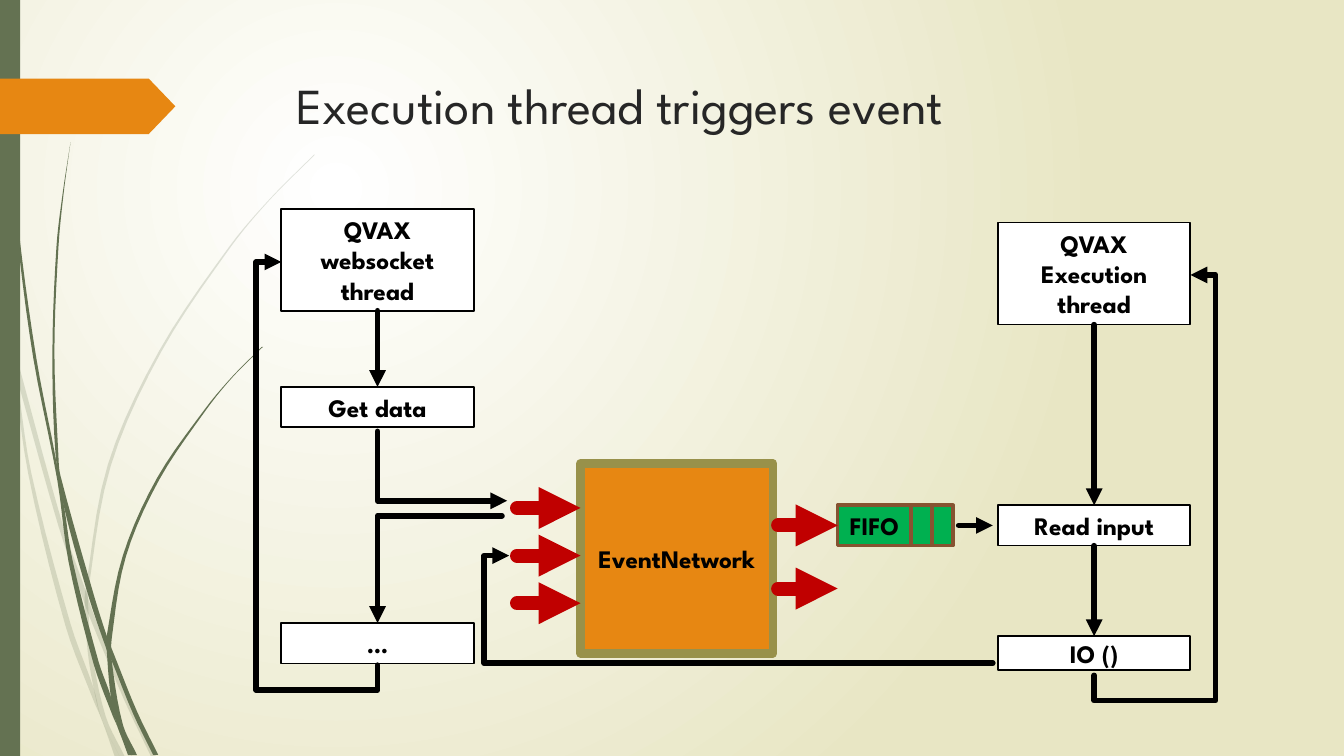
from lxml import etree
from pptx import Presentation
from pptx.dml import color
from pptx.enum import shapes, text
from pptx.oxml import ns
from pptx.util import Cm, Pt

FONT = "League Spartan"
BLACK, WHITE, ORANGE, RED = "000000", "FFFFFF", "E78712", "C00000"
GREEN, BROWN, OLIVE, MOSS = "00B050", "865331", "98914A", "647252"
BOX_W, ROW_H, HEAD_H = 4.85, 1.02, 2.57
LEFT_X, RIGHT_X = 7.09, 25.15
LEFT_MID, RIGHT_MID = LEFT_X + BOX_W / 2, RIGHT_X + BOX_W / 2
NET_X, FIFO_X, FIFO_Y = 14.63, 21.11, 12.73

# Grass blades: the two edges of each, from tip to root, in hundredths of an inch
PALE_BLADES = [
    ([(0, 282), (9, 322), (17, 376), (31, 469), (70, 619), (93, 683), (101, 714), (119, 751)],
     [(0, 299), (11, 350), (28, 470), (65, 621), (92, 693), (101, 714), (114, 751)]),
    ([(14, 345), (62, 520), (85, 586), (92, 607), (127, 692), (155, 751)],
     [(17, 376), (58, 522), (84, 599), (88, 610), (123, 694), (150, 751)]),
    ([(312, 153), (268, 197), (228, 244), (158, 348), (107, 461), (85, 584), (84, 599),
      (87, 646), (93, 683), (101, 714), (119, 751)],
     [(312, 154), (268, 198), (229, 245), (160, 349), (110, 462), (88, 584), (88, 610),
      (91, 646), (105, 711), (124, 751)]),
]
DARK_BLADES = [
    ([(4, 0), (5, 48), (8, 109), (19, 232), (36, 355), (55, 453), (64, 505), (72, 556),
      (98, 657), (110, 691), (117, 722), (131, 749)],
     [(3, 0), (4, 48), (7, 110), (17, 233), (33, 355), (57, 477), (68, 557), (93, 659),
      (111, 708), (117, 722), (127, 749)]),
    ([(70, 141), (62, 193), (56, 245), (52, 349), (55, 449), (64, 505), (88, 592),
      (106, 645), (111, 656), (132, 708), (152, 749)],
     [(70, 141), (63, 193), (58, 245), (54, 349), (58, 453), (60, 472), (93, 590),
      (106, 631), (113, 649), (136, 706), (157, 749)]),
    ([(260, 344), (231, 373), (204, 405), (156, 474), (122, 551), (106, 631), (106, 645),
      (110, 691), (117, 722), (130, 749)],
     [(261, 344), (231, 374), (205, 406), (158, 476), (125, 552), (111, 633), (111, 656),
      (122, 719), (136, 749)]),
]


def rgb(value):
    return color.RGBColor.from_string(value)


def add_xml(parent, tag, **attrs):
    return etree.SubElement(parent, ns.qn(tag), attrs)


def set_background(s):
    """Radial gradient centred a quarter of the way in from the top left."""
    fill = s.background.fill
    fill.gradient()
    for stop, value in zip(fill.gradient_stops, (WHITE, "E8E6C4")):
        stop.color.rgb = rgb(value)
    grad = s.element.find(".//" + ns.qn("a:gradFill"))
    grad.remove(grad.find(ns.qn("a:lin")))
    circle = add_xml(grad, "a:path", path="circle")
    add_xml(circle, "a:fillToRect", l="50000", t="50000", r="100000", b="100000")


def paint(sp, fill, line=None, width=0):
    sp.shadow.inherit = False
    sp.fill.solid()
    sp.fill.fore_color.rgb = rgb(fill)
    if line:
        sp.line.color.rgb = rgb(line)
        sp.line.width = Pt(width)
    else:
        sp.line.fill.background()


def smooth_edge(points):
    """Cubic through the points, with x as a function of y."""
    last = len(points) - 1
    slopes = []
    for i in range(last + 1):
        (xa, ya), (xb, yb) = points[max(i - 1, 0)], points[min(i + 1, last)]
        slopes.append((xb - xa) / (yb - ya))
    curve = [points[0]]
    for (xa, ya), (xb, yb), ma, mb in zip(points, points[1:], slopes, slopes[1:]):
        h = yb - ya
        for t in (0.2, 0.4, 0.6, 0.8, 1):
            x = ((1 + 2 * t) * (1 - t) ** 2 * xa + t * (1 - t) ** 2 * h * ma
                 + t * t * (3 - 2 * t) * xb + t * t * (t - 1) * h * mb)
            curve.append((x, ya + t * h))
    return curve


def add_blade(s, edges, alpha=None):
    front, back = map(smooth_edge, edges)
    unit = Cm(0.0254)
    outline = [(x * unit, y * unit) for x, y in front + back[::-1]]
    builder = s.shapes.build_freeform(*outline[0])
    builder.add_line_segments(outline[1:])
    sp = builder.convert_to_shape()
    paint(sp, MOSS)
    if alpha:
        add_xml(sp.element.find(".//" + ns.qn("a:srgbClr")), "a:alpha", val=str(alpha * 1000))


def add_box(s, x, y, w, h, lines=(), fill=WHITE, line=BLACK, width=1.25,
            kind=shapes.MSO_SHAPE.RECTANGLE):
    sp = s.shapes.add_shape(kind, Cm(x), Cm(y), Cm(w), Cm(h))
    paint(sp, fill, line, width)
    tf = sp.text_frame
    tf.word_wrap = True
    tf.vertical_anchor = text.MSO_ANCHOR.MIDDLE
    for i, words in enumerate(lines):
        p = tf.add_paragraph() if i else tf.paragraphs[0]
        p.text = words
        p.alignment = text.PP_ALIGN.CENTER
        p.font.name, p.font.size, p.font.bold = FONT, Pt(18), True
        p.font.color.rgb = rgb(BLACK)
    return sp


def style_arrow(cxn, value, width):
    cxn.line.color.rgb = rgb(value)
    cxn.line.width = Pt(width)
    ln = cxn.line._get_or_add_ln()
    ln.set("cap", "rnd")
    add_xml(ln, "a:round")
    add_xml(ln, "a:tailEnd", type="triangle")
    add_xml(ln.getparent(), "a:effectLst")


def add_arrow(s, begin, end, value=BLACK, width=4):
    cxn = s.shapes.add_connector(shapes.MSO_CONNECTOR.STRAIGHT, *map(Cm, begin + end))
    style_arrow(cxn, value, width)
    return cxn


def join_down(s, upper, lower):
    cxn = add_arrow(s, (0, 0), (0, 0))
    cxn.begin_connect(upper, 2)
    cxn.end_connect(lower, 0)


def add_elbow(s, preset, begin, end, turn, flips=(), adjust=()):
    """Bent arrow; a quarter turn swaps the sides of its frame."""
    w, h = abs(end[0] - begin[0]), abs(end[1] - begin[1])
    if turn % 180:
        w, h = h, w
    x, y = (begin[0] + end[0] - w) / 2, (begin[1] + end[1] - h) / 2
    cxn = s.shapes.add_connector(shapes.MSO_CONNECTOR.ELBOW, Cm(x), Cm(y), Cm(x + w), Cm(y + h))
    xfrm = cxn.element.find(".//" + ns.qn("a:xfrm"))
    xfrm.set("rot", str(turn * 60000))
    for flip in flips:
        xfrm.set(flip, "1")
    geom = cxn.element.find(".//" + ns.qn("a:prstGeom"))
    geom.set("prst", preset)
    for i, value in enumerate(adjust, 1):
        add_xml(geom.find(ns.qn("a:avLst")), "a:gd", name=f"adj{i}", fmla=f"val {value}")
    style_arrow(cxn, BLACK, 4)


def set_title(s, words):
    sp = s.shapes.title
    sp.left, sp.top, sp.width, sp.height = Cm(7.21), Cm(1.73), Cm(24.77), Cm(3.56)
    tf = sp.text_frame
    tf.auto_size = text.MSO_AUTO_SIZE.NONE
    tf.vertical_anchor = text.MSO_ANCHOR.TOP
    p = tf.paragraphs[0]
    p.text = words
    p.alignment = text.PP_ALIGN.LEFT
    p.font.name, p.font.size = FONT, Pt(36)
    p.font.color.rgb = rgb("262626")


def main():
    prs = Presentation()
    prs.slide_width, prs.slide_height = Cm(33.87), Cm(19.05)
    s = prs.slides.add_slide(prs.slide_layouts[5])
    set_background(s)
    for edges in PALE_BLADES:
        add_blade(s, edges, alpha=20)
    for edges in DARK_BLADES:
        add_blade(s, edges)
    add_box(s, 0, 0, 0.51, 19.05, fill=MOSS, line=None)
    tag = add_box(s, 0, 1.98, 4.42, 1.4, fill=ORANGE, line=None, kind=shapes.MSO_SHAPE.PENTAGON)
    tag.adjustments[0] = 0.48
    set_title(s, "Execution thread triggers event")

    add_box(s, NET_X, 11.68, BOX_W, 4.78, ["EventNetwork"], ORANGE, OLIVE, 6.25)
    fifo = add_box(s, FIFO_X, FIFO_Y, 1.85, ROW_H, ["FIFO"], GREEN, BROWN, 2.5)
    for i in range(2):
        add_box(s, FIFO_X + 1.85 + i * 0.53, FIFO_Y, 0.53, ROW_H, (), GREEN, BROWN, 2.5)
    for i in range(3):
        y = 12.8 + i * 1.2
        add_arrow(s, (13.03, y), (NET_X, y), RED, 10)
    outputs = [add_arrow(s, (19.61, y), (FIFO_X, y), RED, 10) for y in (13.24, 14.83)]
    outputs[0].end_connect(fifo, 1)

    socket = add_box(s, LEFT_X, 5.26, BOX_W, HEAD_H, ["QVAX websocket", "thread"])
    get_data = add_box(s, LEFT_X, 9.75, BOX_W, ROW_H, ["Get data"])
    add_box(s, LEFT_X, 15.7, BOX_W, ROW_H, ["…"])
    execution = add_box(s, RIGHT_X, 5.61, BOX_W, HEAD_H, ["QVAX Execution", "thread"])
    read_input = add_box(s, RIGHT_X, FIFO_Y, BOX_W, ROW_H, ["Read input"])
    io_call = add_box(s, RIGHT_X, 16.03, BOX_W, 0.86, ["IO ()"])

    join_down(s, socket, get_data)
    join_down(s, execution, read_input)
    join_down(s, read_input, io_call)
    add_arrow(s, (24.16, 13.24), (25.02, 13.24))
    add_elbow(s, "bentConnector2", (LEFT_MID, 10.87), (12.78, 12.62), 270, ["flipH"])
    add_elbow(s, "bentConnector2", (12.65, 13), (LEFT_MID, 15.7), 180, ["flipV"])
    add_elbow(s, "bentConnector4", (LEFT_MID, 16.76), (LEFT_X, 6.6), 90, ["flipH"],
              (-6200, 126200))
    add_elbow(s, "bentConnector4", (RIGHT_MID, 17.02), (RIGHT_X + BOX_W, 6.93), 90,
              ["flipH", "flipV"], (-6300, 126200))
    add_elbow(s, "bentConnector3", (25.02, 16.71), (12.83, 14), 180, (), (105200,))
    prs.save("out.pptx")


if __name__ == "__main__":
    main()
